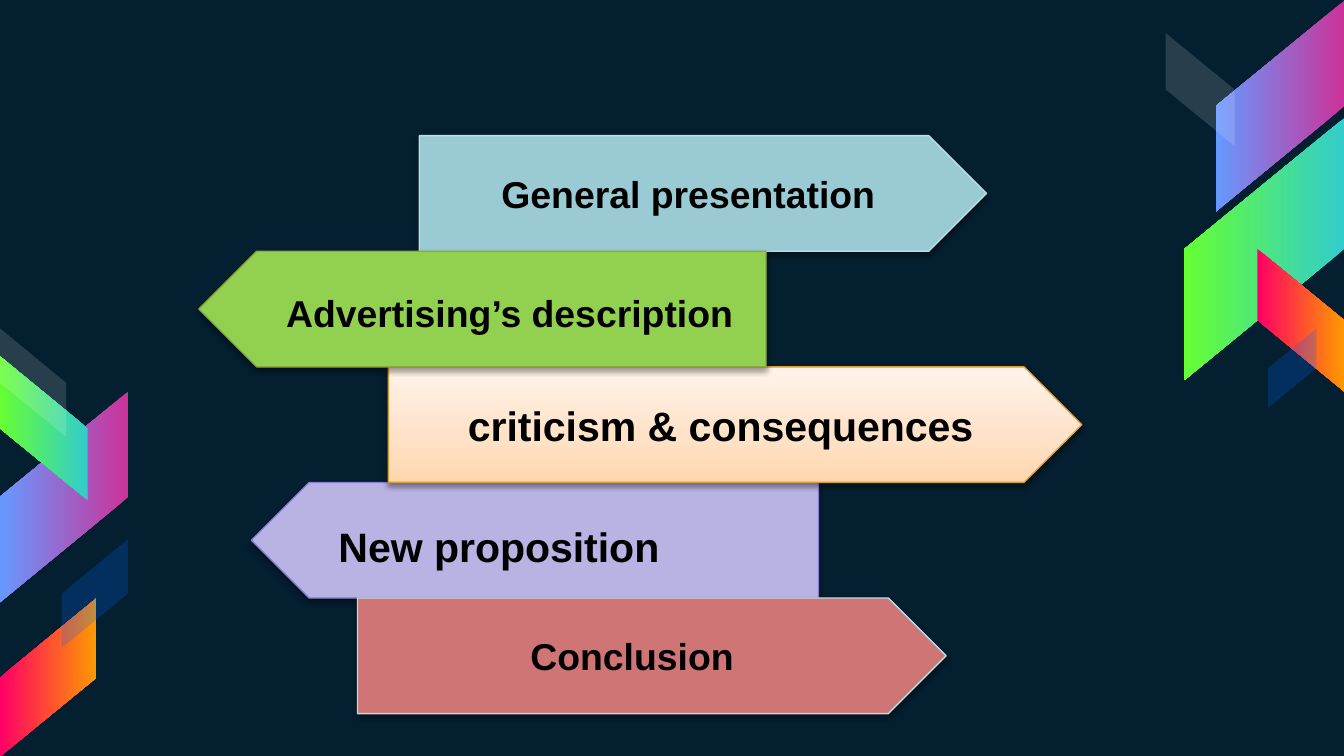
from lxml import etree
from pptx import Presentation
from pptx.dml.color import RGBColor
from pptx.enum.shapes import MSO_SHAPE
from pptx.enum.text import MSO_ANCHOR, PP_ALIGN
from pptx.oxml.ns import qn
from pptx.util import Inches, Pt

RIBBON, ARROW = MSO_SHAPE.PARALLELOGRAM, MSO_SHAPE.PENTAGON
LEFT, CENTER, MIDDLE, TOP = PP_ALIGN.LEFT, PP_ALIGN.CENTER, MSO_ANCHOR.MIDDLE, MSO_ANCHOR.TOP

NAVY = RGBColor(0x04, 0x1F, 0x30)
BLACK = RGBColor(0x00, 0x00, 0x00)
WHITE = RGBColor(0xFF, 0xFF, 0xFF)
BLUE = RGBColor(0x00, 0x66, 0xFF)
TEAL = RGBColor(0x9A, 0xCA, 0xD3)
PALE_TEAL = RGBColor(0xBC, 0xDC, 0xE1)
LAVENDER = RGBColor(0xB9, 0xB3, 0xE4)
VIOLET = RGBColor(0x86, 0x7C, 0xCF)
GREEN = RGBColor(0x92, 0xD0, 0x50)
OLIVE = RGBColor(0x89, 0xAA, 0x3E)
OCHRE = RGBColor(0xD7, 0x9D, 0x34)
ROSE = RGBColor(0xD0, 0x75, 0x76)

# Gradients: (position in %, colour) stops
PINK_BLUE = [(0, RGBColor(0xCC, 0x33, 0x99)), (100, RGBColor(0x66, 0x99, 0xFF))]
CYAN_LIME = [(0, RGBColor(0x33, 0xCC, 0xCC)), (100, RGBColor(0x66, 0xFF, 0x33))]
RED_ORANGE = [(0, RGBColor(0xFF, 0x00, 0x66)), (100, RGBColor(0xFF, 0x99, 0x00))]
PEACH = [(0, RGBColor(0xFF, 0xD6, 0xAD)), (35, RGBColor(0xFF, 0xE1, 0xC5)),
         (100, RGBColor(0xFF, 0xF3, 0xE9))]

# Ribbons: left, top, length, rotation, mirrored, fill, opacity in %
RIGHT_RIBBONS = [
    (8.74, 0.31, 1.57, 90, True, PINK_BLUE, 100),
    (8.43, 1.26, 1.95, 90, True, CYAN_LIME, 100),
    (9.15, 2.06, 1.06, 270, False, RED_ORANGE, 100),
    (8.51, 0.41, 0.84, 270, False, WHITE, 14),
    (9.32, 2.56, 0.59, 270, True, BLUE, 23),
]
LEFT_RIBBONS = [
    (-0.31, 3.22, 1.57, 90, True, PINK_BLUE, 100),
    (-0.21, 2.86, 1.07, 90, False, CYAN_LIME, 100),
    (-0.23, 4.68, 1.18, 270, True, RED_ORANGE, 100),
    (-0.16, 2.6, 0.81, 270, False, WHITE, 14),
    (0.3, 4.17, 0.81, 270, True, BLUE, 23),
]
RIBBON_RATIO, RIBBON_SLANT = 0.61, 0.82

# Arrows from back to front: row, left, width, points left, fill, outline, label, size
ARROWS = [
    (0, 3.12, 4.22, False, TEAL, PALE_TEAL, "General presentation", 20),
    (3, 1.87, 4.22, True, LAVENDER, VIOLET, None, None),
    (2, 2.89, 5.16, False, PEACH, OCHRE, "criticism & consequences", 22),
    (1, 1.48, 4.22, True, GREEN, OLIVE, None, None),
    (4, 2.66, 4.38, False, ROSE, PALE_TEAL, "Conclusion ", 20),
]
FIRST_TOP, ARROW_HEIGHT = 1.01, 0.86

# Labels of the arrows that point left: left, top, width, height, text, size
LEFT_ARROW_LABELS = [
    (2.03, 2.11, 3.59, 0.44, "Advertising’s description", 20),
    (2.42, 3.83, 3.05, 0.47, "New proposition", 22),
]


def add_color(parent, color, opacity=100):
    node = etree.SubElement(parent, qn("a:srgbClr"), val=str(color))
    if opacity < 100:
        add_opacity(node, opacity)


def add_opacity(color_node, opacity):
    etree.SubElement(color_node, qn("a:alpha"), val=str(opacity * 1000))


def fill_gradient(shape, stops, angle):
    """Fill with any number of stops; angle is clockwise in degrees."""
    shape.fill.gradient()
    gradient = shape._element.spPr.find(qn("a:gradFill"))
    stop_list = gradient.find(qn("a:gsLst"))
    for old_stop in list(stop_list):
        stop_list.remove(old_stop)
    for position, color in stops:
        add_color(etree.SubElement(stop_list, qn("a:gs"), pos=str(position * 1000)), color)
    direction = gradient.find(qn("a:lin"))
    direction.set("ang", str(angle * 60000))
    direction.set("scaled", "0")


def add_filled(shapes, preset, left, top, width, height, fill, angle, mirrored, opacity=100):
    shape = shapes.add_shape(preset, Inches(left), Inches(top), Inches(width), Inches(height))
    shape.shadow.inherit = False
    if isinstance(fill, list):
        fill_gradient(shape, fill, angle)
    else:
        shape.fill.solid()
        shape.fill.fore_color.rgb = fill
        if opacity < 100:
            add_opacity(shape._element.spPr.find(qn("a:solidFill"))[0], opacity)
    if mirrored:
        shape._element.spPr.find(qn("a:xfrm")).set("flipH", "1")
    return shape


def add_soft_shadow(shape):
    effects = shape._element.spPr.find(qn("a:effectLst"))
    shadow = etree.SubElement(effects, qn("a:outerShdw"), blurRad=str(Pt(3.1)),
                              dist=str(Pt(1.6)), dir="5400000", rotWithShape="0")
    add_color(shadow, BLACK, 38)


def write_text(shape, text, size, align=LEFT, anchor=TOP):
    frame = shape.text_frame
    frame.word_wrap = True
    frame.vertical_anchor = anchor
    paragraph = frame.paragraphs[0]
    paragraph.alignment = align
    run = paragraph.add_run()
    run.text = text
    run.font.name = "Arial"
    run.font.size = Pt(size)
    run.font.bold = True
    run.font.color.rgb = BLACK


def main():
    deck = Presentation()
    deck.slide_width = Inches(10)
    deck.slide_height = deck.slide_width * 9 // 16
    slide = deck.slides.add_slide(deck.slide_layouts[6])
    slide.background.fill.solid()
    slide.background.fill.fore_color.rgb = NAVY

    for ribbons in (RIGHT_RIBBONS, LEFT_RIBBONS):
        group = slide.shapes.add_group_shape()
        for left, top, length, rotation, mirrored, fill, opacity in ribbons:
            ribbon = add_filled(group.shapes, RIBBON, left, top, length, length * RIBBON_RATIO,
                                fill, 90, mirrored, opacity)
            ribbon.adjustments[0] = RIBBON_SLANT
            ribbon.rotation = rotation
            ribbon.line.fill.background()

    for row, left, width, points_left, fill, outline, label, size in ARROWS:
        arrow = add_filled(slide.shapes, ARROW, left, FIRST_TOP + row * ARROW_HEIGHT,
                           width, ARROW_HEIGHT, fill, 270, points_left)
        arrow.line.color.rgb = outline
        arrow.line.width = Pt(0.75)
        add_soft_shadow(arrow)
        if label:
            write_text(arrow, label, size, align=CENTER, anchor=MIDDLE)

    for left, top, width, height, label, size in LEFT_ARROW_LABELS:
        box = slide.shapes.add_textbox(Inches(left), Inches(top), Inches(width), Inches(height))
        write_text(box, label, size)

    deck.save("out.pptx")


if __name__ == "__main__":
    main()
